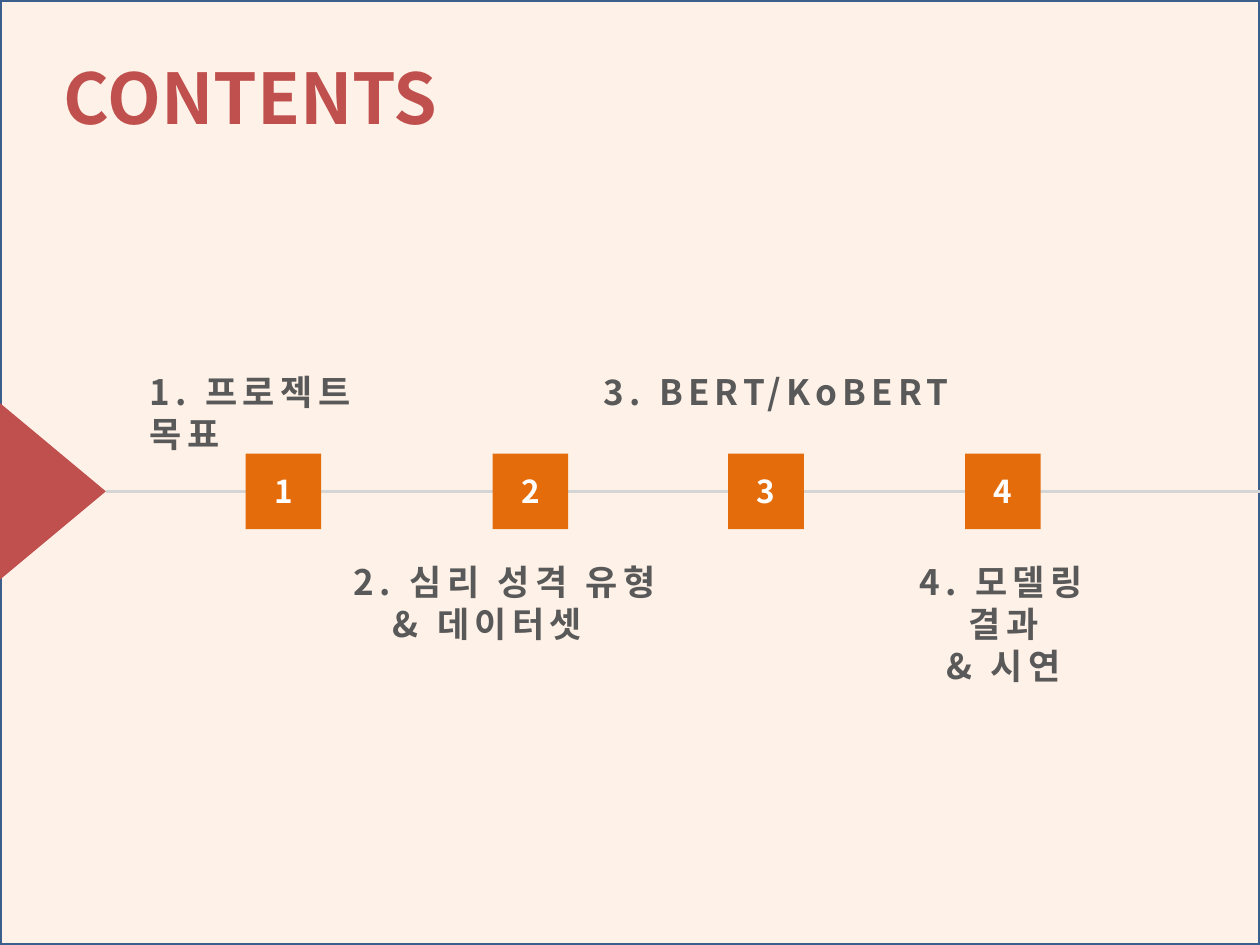
from dataclasses import dataclass

from lxml import etree
from pptx import Presentation
from pptx.dml.color import RGBColor
from pptx.enum.shapes import MSO_CONNECTOR, MSO_SHAPE
from pptx.enum.text import MSO_ANCHOR, PP_ALIGN
from pptx.oxml.ns import qn
from pptx.util import Inches, Pt

RECTANGLE = MSO_SHAPE.RECTANGLE
TRIANGLE = MSO_SHAPE.ISOSCELES_TRIANGLE
STRAIGHT = MSO_CONNECTOR.STRAIGHT
MIDDLE = MSO_ANCHOR.MIDDLE
LEFT, CENTER = PP_ALIGN.LEFT, PP_ALIGN.CENTER

FONT = "Noto Sans CJK KR"
CREAM, RED, ORANGE = "FEF2E8", "C0504D", "E46C0A"
NAVY, SILVER, GRAY, WHITE = "3A5F8C", "D5D5D5", "595959", "FFFFFF"

SLIDE_WIDTH, SLIDE_HEIGHT = 10, 7.5
AXIS_Y = 3.9
MARKER_SIZE = 0.6
ARROW_LENGTH, ARROW_SPAN = 0.84, 1.4
ABOVE_Y, BELOW_Y = 2.89, 4.4


@dataclass
class Chapter:
    marker_left: float
    label_left: float
    label_top: float
    label_width: float
    label_height: float
    lines: list[str]
    alignment: PP_ALIGN = LEFT
    next_line_indent: float = 0


CHAPTERS = [
    Chapter(1.95, 1.09, ABOVE_Y, 2.4, 0.84, ["1. 프로젝트 목표"]),
    Chapter(3.91, 2.71, BELOW_Y, 3.1, 1.45, ["2. 심리 성격 유형", "& 데이터셋"],
            next_line_indent=0.31),
    Chapter(5.78, 4.69, ABOVE_Y, 3.13, 0.84, ["3. BERT/KoBERT"]),
    Chapter(7.66, 6.87, BELOW_Y, 2.19, 1.1, ["4. 모델링 결과", "& 시연"], CENTER),
]


def color(value: str) -> RGBColor:
    return RGBColor.from_string(value)


def style_paragraph(paragraph, size: float, font_color: str, spacing: float = 0) -> None:
    """Set a bold font for Latin and Korean text, with letter spacing in points."""
    font = paragraph.font
    font.name, font.size, font.bold = FONT, Pt(size), True
    font.color.rgb = color(font_color)
    properties = font._element
    properties.set("spc", str(round(spacing * 100)))
    etree.SubElement(properties, qn("a:ea"), typeface=FONT)


def add_filled_shape(slide, kind: MSO_SHAPE, left: float, top: float,
                     width: float, height: float, fill: str):
    shape = slide.shapes.add_shape(kind, Inches(left), Inches(top), Inches(width), Inches(height))
    shape.shadow.inherit = False
    shape.fill.solid()
    shape.fill.fore_color.rgb = color(fill)
    shape.line.fill.background()
    return shape


def add_text_box(slide, left: float, top: float, width: float, height: float):
    box = slide.shapes.add_textbox(Inches(left), Inches(top), Inches(width), Inches(height))
    box.text_frame.word_wrap = True
    return box.text_frame


def add_background(slide) -> None:
    panel = add_filled_shape(slide, RECTANGLE, 0, 0, SLIDE_WIDTH, SLIDE_HEIGHT, CREAM)
    panel.line.color.rgb = color(NAVY)
    panel.line.width = Pt(2)


def add_title(slide, text: str) -> None:
    paragraph = add_text_box(slide, 0.41, 0.38, 4.06, 0.77).paragraphs[0]
    paragraph.text = text
    style_paragraph(paragraph, 40, RED)


def add_timeline(slide) -> None:
    arrow = add_filled_shape(slide, TRIANGLE, (ARROW_LENGTH - ARROW_SPAN) / 2,
                             AXIS_Y - ARROW_LENGTH / 2, ARROW_SPAN, ARROW_LENGTH, RED)
    arrow.rotation = 90
    axis = slide.shapes.add_connector(STRAIGHT, Inches(ARROW_LENGTH), Inches(AXIS_Y),
                                      Inches(SLIDE_WIDTH), Inches(AXIS_Y))
    axis.line.color.rgb = color(SILVER)
    axis.line.width = Pt(2)
    etree.SubElement(axis._element.spPr, qn("a:effectLst"))


def add_marker(slide, number: int, left: float) -> None:
    marker = add_filled_shape(slide, RECTANGLE, left, AXIS_Y - MARKER_SIZE / 2,
                              MARKER_SIZE, MARKER_SIZE, ORANGE)
    marker.text_frame.vertical_anchor = MIDDLE
    paragraph = marker.text_frame.paragraphs[0]
    paragraph.text = str(number)
    paragraph.alignment = CENTER
    style_paragraph(paragraph, 18, WHITE)


def add_label(slide, chapter: Chapter) -> None:
    frame = add_text_box(slide, chapter.label_left, chapter.label_top,
                         chapter.label_width, chapter.label_height)
    frame.text = "\n".join(chapter.lines)
    for index, paragraph in enumerate(frame.paragraphs):
        paragraph.alignment = chapter.alignment
        if index and chapter.next_line_indent:
            indent = Inches(chapter.next_line_indent)
            paragraph._p.get_or_add_pPr().set("marL", str(indent))
        style_paragraph(paragraph, 20, GRAY, spacing=3)


def main() -> None:
    presentation = Presentation()
    presentation.slide_width = Inches(SLIDE_WIDTH)
    presentation.slide_height = Inches(SLIDE_HEIGHT)
    slide = presentation.slides.add_slide(presentation.slide_layouts[6])
    add_background(slide)
    add_title(slide, "CONTENTS")
    add_timeline(slide)
    for number, chapter in enumerate(CHAPTERS, start=1):
        add_marker(slide, number, chapter.marker_left)
    for chapter in CHAPTERS:
        add_label(slide, chapter)
    presentation.save("out.pptx")


if __name__ == "__main__":
    main()
